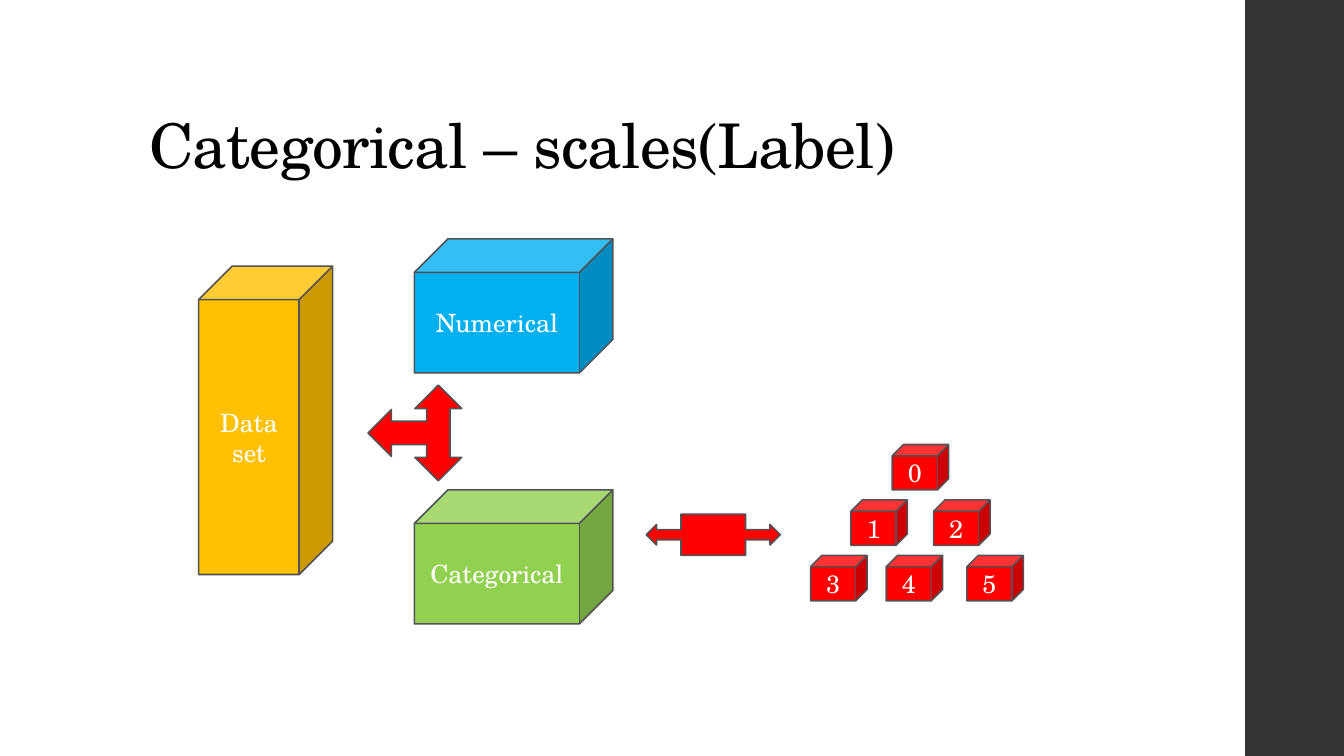
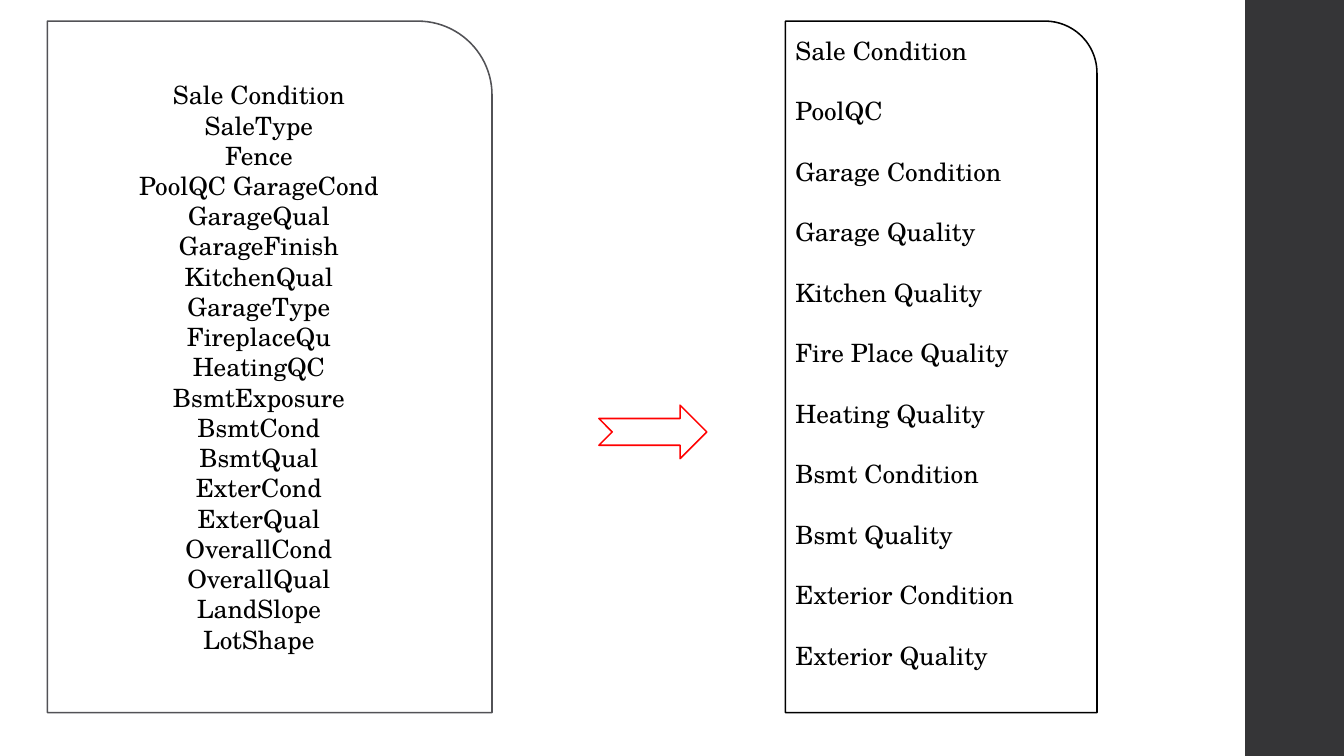
import pptx
import pptx.dml.color
import pptx.enum.shapes
import pptx.enum.text
import pptx.util

RGBColor = pptx.dml.color.RGBColor
Shape = pptx.enum.shapes.MSO_SHAPE
Anchor = pptx.enum.text.MSO_ANCHOR
Align = pptx.enum.text.PP_ALIGN

EMU_PER_PX = 9144  # 100 px to the inch
SLIDE_WIDTH, SLIDE_HEIGHT = 1333, 750
BAND_LEFT = 1235

FONT = "TeX Gyre Schola"
BODY_SIZE = 18
TITLE_SIZE = 44
LINE_WIDTH = 1.1

WHITE = RGBColor(0xFF, 0xFF, 0xFF)
BLACK = RGBColor(0x00, 0x00, 0x00)
CHARCOAL = RGBColor(0x35, 0x35, 0x37)
OUTLINE = RGBColor(0x52, 0x52, 0x56)
AMBER = RGBColor(0xFF, 0xC0, 0x00)
BLUE = RGBColor(0x00, 0xB0, 0xF0)
GREEN = RGBColor(0x92, 0xD0, 0x50)
RED = RGBColor(0xFF, 0x00, 0x00)

LABEL_CUBE_TOP = 441
LABEL_CUBE_ROW_PITCH = 55
LABEL_CUBE_ROWS = [[885], [844, 926], [804, 879, 959]]

COLUMN_NAMES = [
    "Sale Condition", "SaleType", "Fence", "PoolQC GarageCond", "GarageQual",
    "GarageFinish", "KitchenQual", "GarageType", "FireplaceQu", "HeatingQC",
    "BsmtExposure", "BsmtCond", "BsmtQual", "ExterCond", "ExterQual",
    "OverallCond", "OverallQual", "LandSlope", "LotShape",
]
SCALE_NAMES = [
    "Sale Condition", "PoolQC", "Garage Condition", "Garage Quality",
    "Kitchen Quality", "Fire Place Quality", "Heating Quality",
    "Bsmt Condition", "Bsmt Quality", "Exterior Condition", "Exterior Quality",
]


def px(length):
    return pptx.util.Emu(length * EMU_PER_PX)


def write_lines(shape, lines, color, size=BODY_SIZE, align=Align.CENTER):
    """Put one paragraph per line into the shape and format its runs."""
    frame = shape.text_frame
    frame.word_wrap = True
    frame.vertical_anchor = Anchor.MIDDLE
    frame.text = "\n".join(lines)
    for para in frame.paragraphs:
        para.alignment = align
        for span in para.runs:
            span.font.name = FONT
            span.font.size = pptx.util.Pt(size)
            span.font.color.rgb = color
    return frame


def add_figure(slide, kind, bounds, fill, line=OUTLINE):
    """Add a preset shape; line=None leaves it without an outline."""
    shape = slide.shapes.add_shape(kind, *map(px, bounds))
    shape.shadow.inherit = False
    shape.fill.solid()
    shape.fill.fore_color.rgb = fill
    if line is None:
        shape.line.fill.background()
    else:
        shape.line.color.rgb = line
        shape.line.width = pptx.util.Pt(LINE_WIDTH)
    return shape


def add_cube(slide, bounds, fill, *lines):
    write_lines(add_figure(slide, Shape.CUBE, bounds, fill), lines, WHITE)


def add_list_card(slide, bounds, lines, line=OUTLINE, align=Align.CENTER):
    card = add_figure(slide, Shape.ROUND_1_RECTANGLE, bounds, WHITE, line)
    return write_lines(card, lines, BLACK, align=align)


def add_title(slide, text):
    box = slide.shapes.add_textbox(px(138), px(40), px(1060), px(145))
    frame = write_lines(box, [text], BLACK, TITLE_SIZE, Align.LEFT)
    frame.vertical_anchor = Anchor.BOTTOM
    para = frame.paragraphs[0]
    para.line_spacing = 0.9
    para.runs[0].font._element.set("spc", "-50")


def add_banded_slide(deck):
    slide = deck.slides.add_slide(deck.slide_layouts[6])
    band = (BAND_LEFT, 0, SLIDE_WIDTH - BAND_LEFT, SLIDE_HEIGHT)
    add_figure(slide, Shape.RECTANGLE, band, CHARCOAL, None)
    return slide


def add_label_cubes(slide):
    """Stack the numbered cubes as a pyramid."""
    number = 0
    for row, lefts in enumerate(LABEL_CUBE_ROWS):
        top = LABEL_CUBE_TOP + row * LABEL_CUBE_ROW_PITCH
        for left in lefts:
            add_cube(slide, (left, top, 56, 45), RED, str(number))
            number += 1


def build_label_slide(deck):
    slide = add_banded_slide(deck)
    add_title(slide, "Categorical – scales(Label)")
    add_cube(slide, (197, 264, 133, 306), AMBER, "Data", "set")
    add_cube(slide, (411, 237, 197, 133), BLUE, "Numerical")
    add_cube(slide, (411, 486, 197, 133), GREEN, "Categorical")
    split_arrow = add_figure(slide, Shape.LEFT_RIGHT_UP_ARROW, (364, 383, 95, 93), RED)
    split_arrow.rotation = 270
    add_figure(slide, Shape.LEFT_RIGHT_ARROW_CALLOUT, (641, 510, 133, 41), RED)
    add_label_cubes(slide)


def build_columns_slide(deck):
    slide = add_banded_slide(deck)
    add_list_card(slide, (47, 21, 441, 686), COLUMN_NAMES)
    scales = add_list_card(slide, (779, 21, 309, 686), SCALE_NAMES, BLACK, Align.LEFT)
    scales.vertical_anchor = Anchor.TOP
    scales.margin_top = px(14)
    for para in scales.paragraphs:
        para.space_after = pptx.util.Pt(21.6)
    add_figure(slide, Shape.NOTCHED_RIGHT_ARROW, (594, 402, 107, 53), WHITE, RED)


def main():
    deck = pptx.Presentation()
    deck.slide_width = px(SLIDE_WIDTH)
    deck.slide_height = px(SLIDE_HEIGHT)
    build_label_slide(deck)
    build_columns_slide(deck)
    deck.save("out.pptx")


if __name__ == "__main__":
    main()
